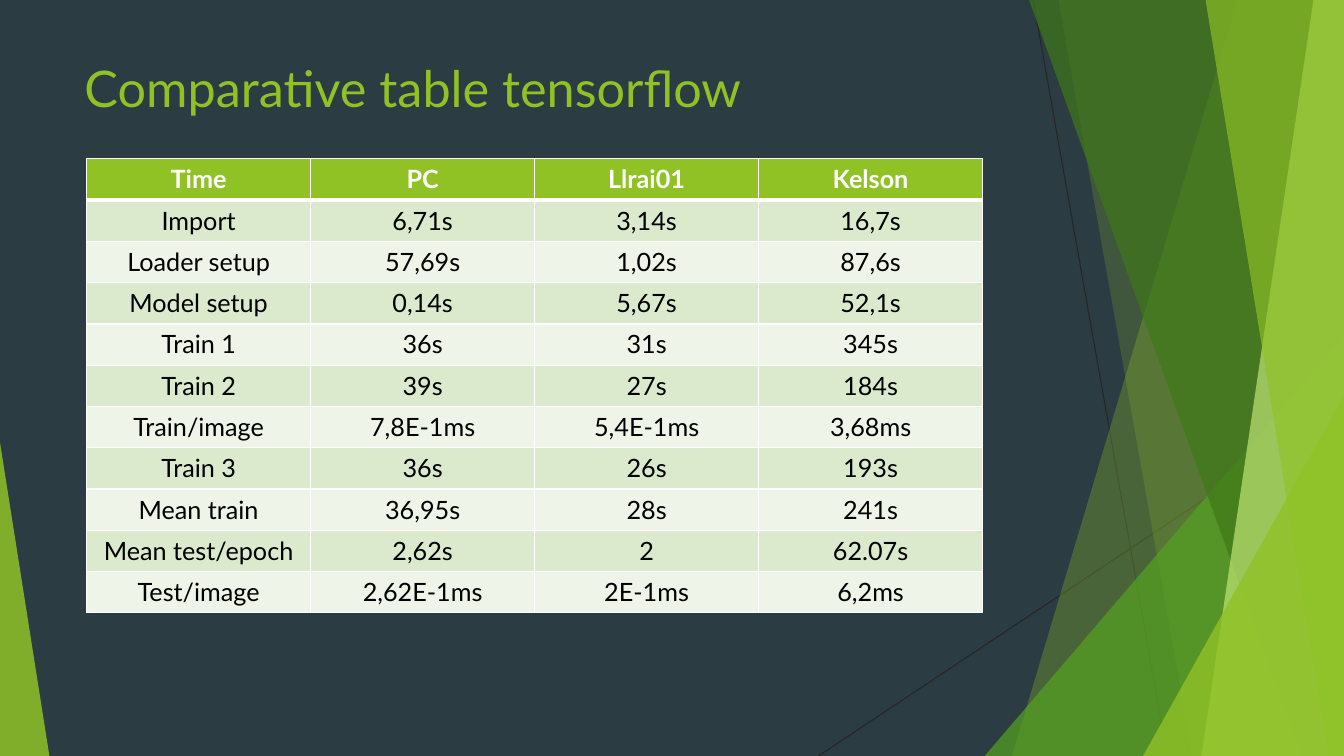
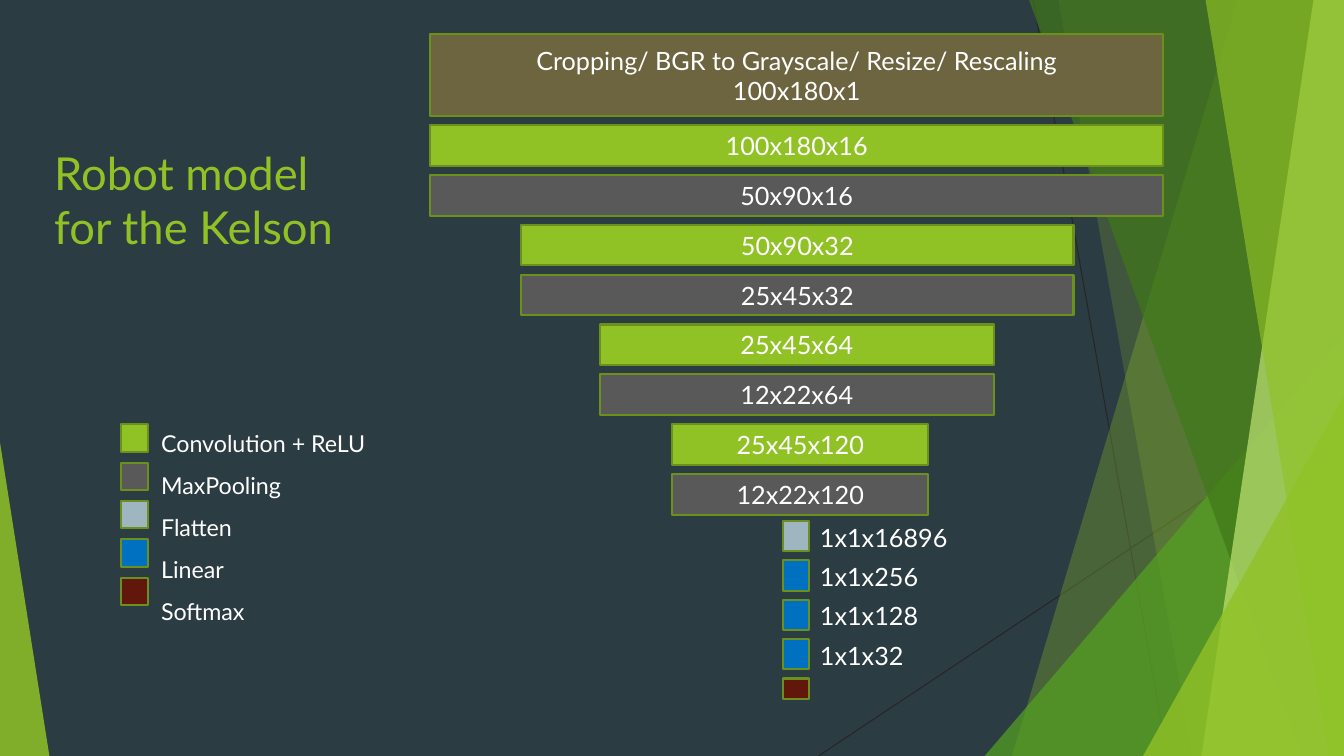
from lxml.etree import SubElement
from pptx import Presentation
from pptx.dml.color import RGBColor
from pptx.enum.shapes import MSO_CONNECTOR, MSO_SHAPE
from pptx.enum.text import MSO_ANCHOR, PP_ALIGN
from pptx.oxml.ns import qn
from pptx.util import Pt

WIDTH, HEIGHT = 960, 540
FONT = "Lato"
NIGHT = RGBColor(0x2C, 0x3C, 0x43)
LIME = RGBColor(0x90, 0xC2, 0x26)
PALE_LIME = RGBColor(0xC0, 0xE4, 0x74)
GREEN = RGBColor(0x54, 0xA0, 0x21)
FOREST = RGBColor(0x3F, 0x78, 0x19)
OLIVE = RGBColor(0x6B, 0x90, 0x1C)
BROWN = RGBColor(0x6D, 0x65, 0x40)
GREY = RGBColor(0x59, 0x59, 0x59)
STEEL = RGBColor(0x9F, 0xB6, 0xC0)
BLUE = RGBColor(0x00, 0x70, 0xC0)
MAROON = RGBColor(0x62, 0x17, 0x0D)
CHARCOAL = RGBColor(0x26, 0x26, 0x26)
ROW_DARK = RGBColor(0xDB, 0xE9, 0xCD)
ROW_LIGHT = RGBColor(0xEE, 0xF4, 0xE8)
WHITE = RGBColor(0xFF, 0xFF, 0xFF)
BLACK = RGBColor(0x00, 0x00, 0x00)

THIN_LINES = [(738, 0, 833.8, 540), (960, 290.2, 584.6, 540)]
FACETS = [
    ("band", (884.2, 722.9), LIME, 30),
    ("band", (756, 851.8), LIME, 20),
    ("triangle", (703.4, 239.8, 256.6, 300.2, 1), GREEN, 72),
    ("band", (735.1, 929.5), FOREST, 70),
    ("band", (938.2, 858.2), PALE_LIME, 70),
    ("band", (861.1, 949), LIME, 65),
    ("triangle", (816.5, 283, 143.5, 257, 1), LIME, 80),
    ("triangle", (0, 316.1, 35.3, 223.9, 0), LIME, 85),
]

TIMES = [
    ("Time", "PC", "Llrai01", "Kelson"),
    ("Import", "6,71s", "3,14s", "16,7s"),
    ("Loader setup", "57,69s", "1,02s", "87,6s"),
    ("Model setup", "0,14s", "5,67s", "52,1s"),
    ("Train 1", "36s", "31s", "345s"),
    ("Train 2", "39s", "27s", "184s"),
    ("Train/image", "7,8E-1ms", "5,4E-1ms", "3,68ms"),
    ("Train 3", "36s", "26s", "193s"),
    ("Mean train", "36,95s", "28s", "241s"),
    ("Mean test/epoch", "2,62s", "2", "62.07s"),
    ("Test/image", "2,62E-1ms", "2E-1ms", "6,2ms"),
]

LAYER_COLORS = {
    "Convolution + ReLU": LIME,
    "MaxPooling": GREY,
    "Flatten": STEEL,
    "Linear": BLUE,
    "Softmax": MAROON,
}
PREPROCESSING = "Cropping/ BGR to Grayscale/ Resize/ Rescaling\n100x180x1"
STAGES = [
    (307.4, 523.4, "100x180x16", "50x90x16"),
    (372.2, 394.6, "50x90x32", "25x45x32"),
    (428.4, 281.5, "25x45x64", "12x22x64"),
    (480.2, 182.9, "25x45x120", "12x22x120"),
]
DENSE_LAYERS = [
    ("Flatten", "1x1x16896"),
    ("Linear", "1x1x256"),
    ("Linear", "1x1x128"),
    ("Linear", "1x1x32"),
    ("Softmax", ""),
]


def write_text(frame, text, size=18, color=WHITE, bold=False,
               align=PP_ALIGN.LEFT, anchor=MSO_ANCHOR.TOP, gap=0):
    frame.word_wrap = True
    frame.vertical_anchor = anchor
    frame.text = text
    for index, paragraph in enumerate(frame.paragraphs):
        paragraph.alignment = align
        if gap and index:
            paragraph.space_before = Pt(gap)
        paragraph.font.name = FONT
        paragraph.font.size = Pt(size)
        paragraph.font.bold = bold
        paragraph.font.color.rgb = color


def add_text(slide, box, text, **text_format):
    shape = slide.shapes.add_textbox(*map(Pt, box))
    write_text(shape.text_frame, text, **text_format)


def add_block(slide, box, color, text=""):
    shape = slide.shapes.add_shape(MSO_SHAPE.RECTANGLE, *map(Pt, box))
    shape.shadow.inherit = False
    shape.fill.solid()
    shape.fill.fore_color.rgb = color
    shape.line.color.rgb = OLIVE
    shape.line.width = Pt(1.5)
    if text:
        write_text(shape.text_frame, text, align=PP_ALIGN.CENTER, anchor=MSO_ANCHOR.MIDDLE)


def add_facet(slide, kind, geometry, color, opacity):
    if kind == "band":
        top_left, bottom_left = geometry
        builder = slide.shapes.build_freeform(Pt(top_left), 0)
        corners = [(WIDTH, 0), (WIDTH, HEIGHT), (bottom_left, HEIGHT)]
        builder.add_line_segments([(Pt(x), Pt(y)) for x, y in corners], close=True)
        shape = builder.convert_to_shape()
    else:
        *box, apex = geometry
        shape = slide.shapes.add_shape(MSO_SHAPE.ISOSCELES_TRIANGLE, *map(Pt, box))
        shape.adjustments[0] = apex
    shape.shadow.inherit = False
    shape.line.fill.background()
    shape.fill.solid()
    shape.fill.fore_color.rgb = color
    color_element = shape.fill._xPr.find(qn("a:solidFill"))[0]
    SubElement(color_element, qn("a:alpha"), val=str(opacity * 1000))


def add_base_slide(presentation, title, title_box, title_size):
    slide = presentation.slides.add_slide(presentation.slide_layouts[6])
    for ends in THIN_LINES:
        line = slide.shapes.add_connector(MSO_CONNECTOR.STRAIGHT, *map(Pt, ends))
        line.line.color.rgb = CHARCOAL
        line.line.width = Pt(0.75)
        SubElement(line._element.spPr, qn("a:effectLst"))
    for facet in FACETS:
        add_facet(slide, *facet)
    add_text(slide, title_box, title, size=title_size, color=LIME)
    return slide


def set_borders(cell, **widths):
    properties = cell._tc.get_or_add_tcPr()
    for side in "LRTB":
        border = SubElement(properties, qn("a:ln" + side), w=str(Pt(widths.get(side, 1))))
        fill = SubElement(border, qn("a:solidFill"))
        SubElement(fill, qn("a:srgbClr"), val=str(WHITE))


def add_times_table(slide):
    rows, columns = len(TIMES), len(TIMES[0])
    column_width, row_height = 160, 29.5
    box = (61.9, 113.5, columns * column_width, rows * row_height)
    table = slide.shapes.add_table(rows, columns, *map(Pt, box)).table
    for row_index, values in enumerate(TIMES):
        header = row_index == 0
        fill = LIME if header else ROW_DARK if row_index % 2 else ROW_LIGHT
        for column_index, value in enumerate(values):
            cell = table.cell(row_index, column_index)
            set_borders(cell, B=3 if header else 1, T=3 if row_index == 1 else 1)
            cell.fill.solid()
            cell.fill.fore_color.rgb = fill
            write_text(cell.text_frame, value, color=WHITE if header else BLACK,
                       bold=header, align=PP_ALIGN.CENTER)


def add_legend(slide):
    top, pitch, side = 303.1, 27.4, 19.6
    for index, color in enumerate(LAYER_COLORS.values()):
        add_block(slide, (86.4, top + index * pitch, side, side), color)
    add_text(slide, (108, top, 174.2, 134), "\n".join(LAYER_COLORS), size=16.6, gap=10)


def add_network(slide):
    add_block(slide, (307.4, 24.5, 523.4, 58.3), BROWN, PREPROCESSING)
    top, pitch = 89.4, 35.6
    for left, width, *sizes in STAGES:
        for size, color in zip(sizes, (LIME, GREY)):
            add_block(slide, (left, top, width, 29), color, size)
            top += pitch
    top, pitch = 372.2, 28.1
    for layer, size in DENSE_LAYERS:
        add_block(slide, (559.4, top, 18.7, 21.6 if size else 15), LAYER_COLORS[layer])
        if size:
            add_text(slide, (578.6, top - 3, 131, 28.8), size)
        top += pitch


def main():
    presentation = Presentation()
    presentation.slide_width, presentation.slide_height = Pt(WIDTH), Pt(HEIGHT)
    background = presentation.slide_master.background.fill
    background.solid()
    background.fore_color.rgb = NIGHT

    comparison = add_base_slide(presentation, "Comparative table tensorflow",
                                (53.3, 37.4, 676.8, 60), 36)
    add_times_table(comparison)

    model = add_base_slide(presentation, "Robot model\vfor the Kelson",
                           (31.7, 100.1, 237.6, 86), 32.4)
    add_legend(model)
    add_network(model)

    presentation.save("out.pptx")


if __name__ == "__main__":
    main()
